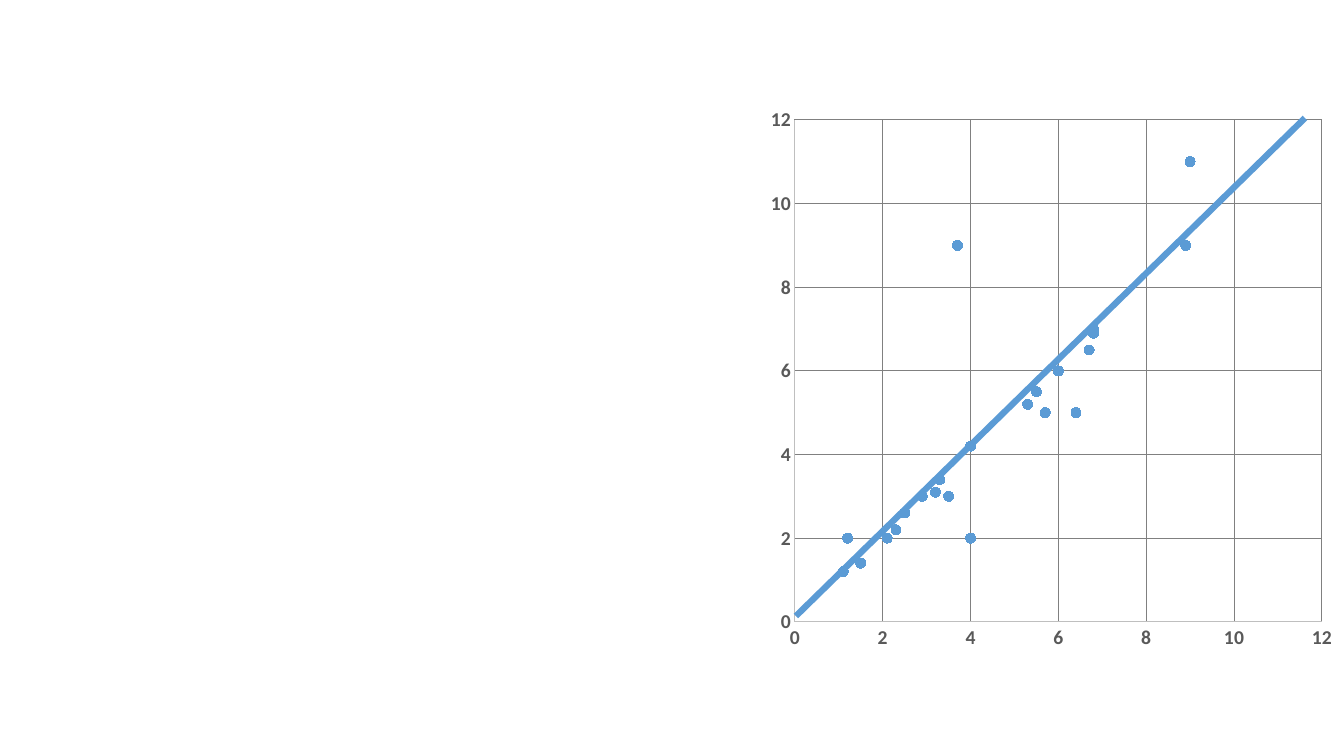
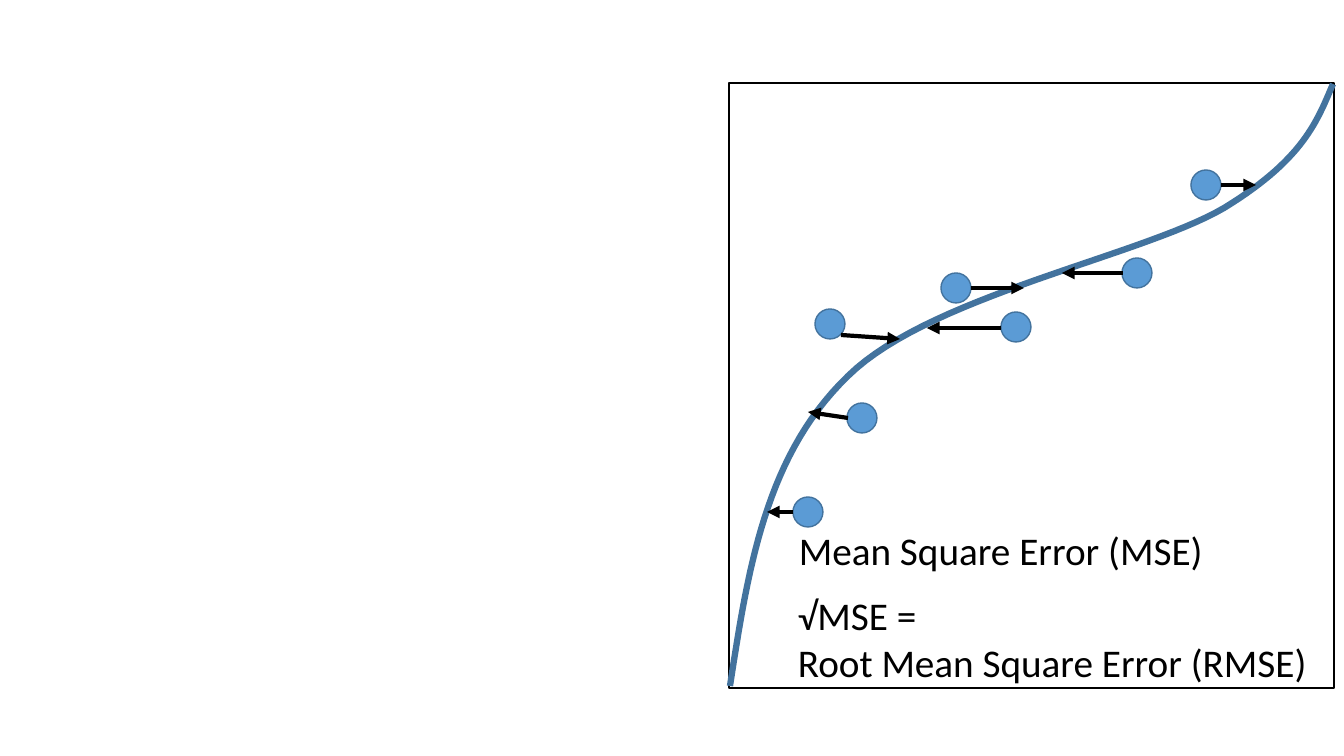
from lxml import etree
from pptx import Presentation
from pptx.chart import data
from pptx.dml import color
from pptx.enum import chart as ch, shapes, text
from pptx.oxml import ns, parse_xml
from pptx.util import Pt

EMU_PER_PX = 914400 / 100.8
COLORS = {"white": "FFFFFF", "black": "000000", "blue": "5B9BD5", "steel": "43739E",
          "grid": "808080", "axis": "BFBFBF", "label": "595959"}
FONT = "Calibri"
TEXT_FORMAT = {"size": Pt(28), "name": FONT}
LABEL_FORMAT = {"size": Pt(14), "name": FONT, "bold": True}
AXIS_FORMAT = {"minimum_scale": 0, "maximum_scale": 12, "major_unit": 2,
               "has_major_gridlines": True, "has_title": False,
               "major_tick_mark": ch.XL_TICK_MARK.NONE,
               "minor_tick_mark": ch.XL_TICK_MARK.NONE}
MEASUREMENTS = [(6.8, 7), (5.7, 5), (4, 2), (9, 11), (3.7, 9), (8.9, 9), (6.4, 5),
                (2.9, 3), (3.5, 3), (1.2, 2), (1.1, 1.2), (1.5, 1.4), (2.1, 2),
                (2.3, 2.2), (2.5, 2.6), (3.3, 3.4), (3.2, 3.1), (4, 4.2),
                (5.3, 5.2), (5.5, 5.5), (6, 6), (6.7, 6.5), (6.8, 6.9)]
CHART_BOX = (758, 97, 586, 566)
PLOT_BOX = (795, 120, 527, 502)
CURVE = [(730, 686), (748, 570), (765, 456), (848, 376), (929, 296), (1142, 256),
         (1224, 208), (1304, 159), (1317, 121), (1333, 84)]
DOT_SIZE = 30
DOTS = [(808, 512), (862, 418), (956, 288), (1137, 273), (1206, 185),
        (1016, 327), (830, 324)]
ERRORS = [((793, 512), (767, 512)), ((848, 418), (808, 412)), ((841, 335), (900, 339)),
          ((971, 288), (1024, 288)), ((1001, 328), (927, 328)),
          ((1123, 273), (1062, 273)), ((1221, 185), (1256, 185))]


def px(*values):
    return [round(v * EMU_PER_PX) for v in values]


def rgb(name):
    return color.RGBColor.from_string(COLORS[name])


def apply(target, values):
    for name, value in values.items():
        setattr(target, name, value)


def set_fill(fill, name):
    fill.solid()
    fill.fore_color.rgb = rgb(name)


def set_line(line, name, width):
    set_fill(line.fill, name)
    line.width = Pt(width)


def set_font(font, values, name):
    apply(font, values)
    font.color.rgb = rgb(name)


def add_shape(s, kind, box, fill, line):
    sp = s.shapes.add_shape(kind, *px(*box))
    sp.shadow.inherit = False
    set_fill(sp.fill, fill)
    set_line(sp.line, line, 1)


def add_line(s, start, end, name, width, arrow=False):
    cxn = s.shapes.add_connector(shapes.MSO_CONNECTOR.STRAIGHT, *px(*start, *end))
    set_line(cxn.line, name, width)
    props = cxn._element.spPr
    if arrow:
        etree.SubElement(props.find(ns.qn("a:ln")), ns.qn("a:tailEnd"), type="triangle")
    etree.SubElement(props, ns.qn("a:effectLst"))


def bezier(p0, p1, p2, p3, steps=30):
    for i in range(1, steps + 1):
        t = i / steps
        weights = ((1 - t) ** 3, 3 * t * (1 - t) ** 2, 3 * t * t * (1 - t), t ** 3)
        yield tuple(sum(w * p[axis] for w, p in zip(weights, (p0, p1, p2, p3)))
                    for axis in (0, 1))


def add_curve(s, knots, name, width):
    builder = s.shapes.build_freeform(*px(*knots[0]))
    points = [px(*p) for i in range(0, len(knots) - 1, 3) for p in bezier(*knots[i:i + 4])]
    builder.add_line_segments(points, close=False)
    sp = builder.convert_to_shape()
    sp.shadow.inherit = False
    sp.fill.background()
    set_line(sp.line, name, width)


def add_text(s, box, lines):
    tf = s.shapes.add_textbox(*px(*box)).text_frame
    apply(tf, {"word_wrap": False, "auto_size": text.MSO_AUTO_SIZE.SHAPE_TO_FIT_TEXT})
    for i, line in enumerate(lines):
        p = tf.add_paragraph() if i else tf.paragraphs[0]
        r = p.add_run()
        r.text = line
        set_font(r.font, TEXT_FORMAT, "black")


def place_plot(chart, box, plot):
    area = chart._chartSpace.chart.plotArea
    for old in area.findall(ns.qn("c:layout")):
        area.remove(old)
    x, y, w, h = box
    values = {"x": (plot[0] - x) / w, "y": (plot[1] - y) / h,
              "w": plot[2] / w, "h": plot[3] / h}
    items = '<c:layoutTarget val="inner"/><c:xMode val="edge"/><c:yMode val="edge"/>'
    items += "".join(f'<c:{k} val="{v:.4f}"/>' for k, v in values.items())
    area.insert(0, parse_xml(f'<c:layout {ns.nsdecls("c")}><c:manualLayout>{items}'
                             '</c:manualLayout></c:layout>'))
    area.append(parse_xml(f'<c:spPr {ns.nsdecls("c", "a")}><a:noFill/><a:ln w="9525">'
                          f'<a:solidFill><a:srgbClr val="{COLORS["grid"]}"/></a:solidFill>'
                          '</a:ln></c:spPr>'))


def add_scatter(s, box, plot, points):
    cd = data.XyChartData()
    series_data = cd.add_series("Series 1")
    for x, y in points:
        series_data.add_data_point(x, y)
    chart = s.shapes.add_chart(ch.XL_CHART_TYPE.XY_SCATTER, *px(*box), cd).chart
    apply(chart, {"has_legend": False, "has_title": False})
    set_font(chart.font, LABEL_FORMAT, "black")
    chart.plots[0].vary_by_categories = False
    series = chart.plots[0].series[0]
    series.smooth = False
    series.format.line.fill.background()
    apply(series.marker, {"style": ch.XL_MARKER_STYLE.CIRCLE, "size": 7})
    set_fill(series.marker.format.fill, "blue")
    set_line(series.marker.format.line, "blue", 0.75)
    for axis in (chart.category_axis, chart.value_axis):
        apply(axis, AXIS_FORMAT)
        set_line(axis.format.line, "axis", 0.75)
        set_line(axis.major_gridlines.format.line, "grid", 0.75)
        set_font(axis.tick_labels.font, LABEL_FORMAT, "label")
        apply(axis.tick_labels, {"number_format": "General", "number_format_is_linked": False})
    place_plot(chart, box, plot)


def scatter_slide(s):
    add_scatter(s, CHART_BOX, PLOT_BOX, MEASUREMENTS)
    add_line(s, (1305, 118), (796, 616), "blue", 4.5)


def error_slide(s):
    add_shape(s, shapes.MSO_SHAPE.RECTANGLE, (729, 83, 605, 605), "white", "black")
    add_curve(s, CURVE, "steel", 4.5)
    for x, y in DOTS:
        box = (x - DOT_SIZE / 2, y - DOT_SIZE / 2, DOT_SIZE, DOT_SIZE)
        add_shape(s, shapes.MSO_SHAPE.OVAL, box, "blue", "steel")
    for start, end in ERRORS:
        add_line(s, start, end, "black", 3, arrow=True)
    add_text(s, (789, 521, 437, 57), ["Mean Square Error (MSE)"])
    add_text(s, (788, 586, 535, 105), ["√MSE =", "Root Mean Square Error (RMSE)"])


def main():
    prs = Presentation()
    prs.slide_width, prs.slide_height = px(1344, 756)
    for fill_slide in (scatter_slide, error_slide):
        fill_slide(prs.slides.add_slide(prs.slide_layouts[6]))
    prs.save("out.pptx")


main()
